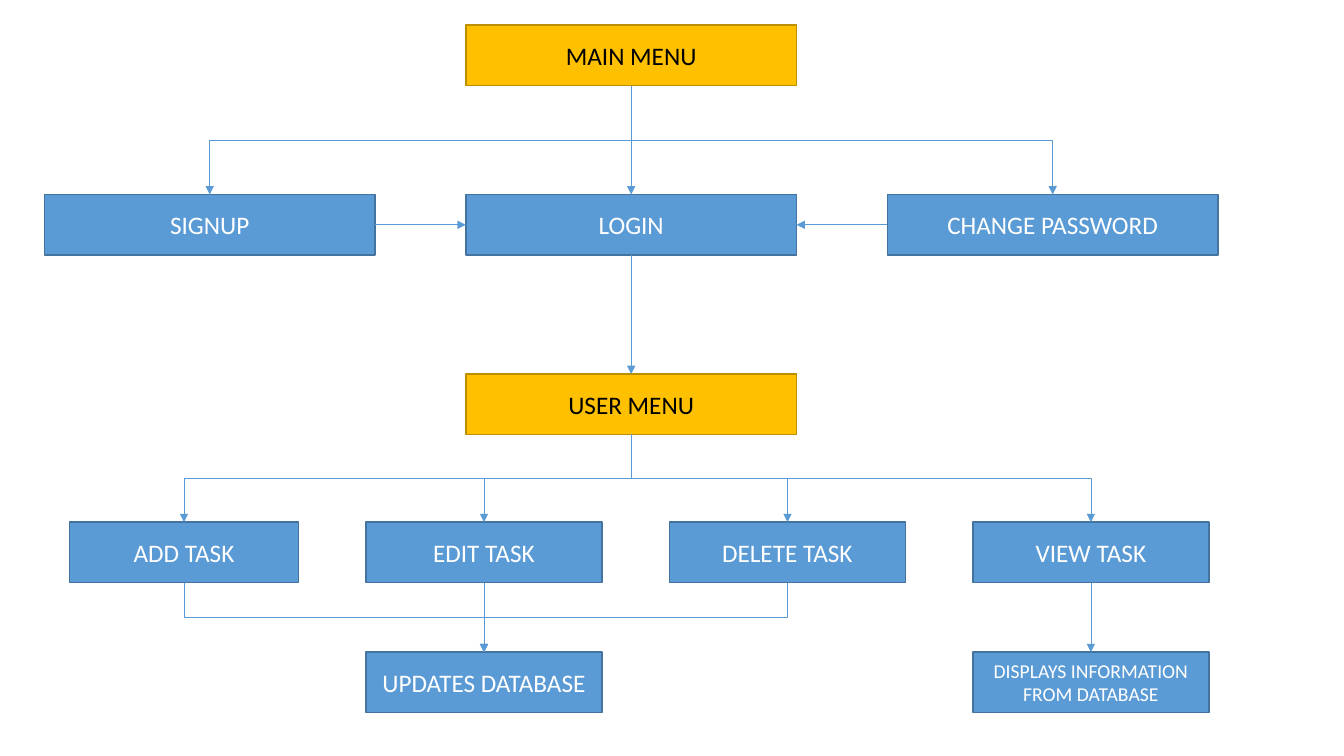
from dataclasses import dataclass

from lxml import etree
from pptx import Presentation
from pptx.dml.color import RGBColor
from pptx.enum.shapes import MSO_CONNECTOR, MSO_SHAPE
from pptx.enum.text import MSO_ANCHOR, PP_ALIGN
from pptx.oxml.ns import qn
from pptx.util import Inches, Pt

PROCESS = MSO_SHAPE.FLOWCHART_PROCESS
STRAIGHT, ELBOW = MSO_CONNECTOR.STRAIGHT, MSO_CONNECTOR.ELBOW
MIDDLE, CENTER = MSO_ANCHOR.MIDDLE, PP_ALIGN.CENTER
TOP, LEFT, BOTTOM, RIGHT = range(4)


@dataclass(frozen=True)
class BoxStyle:
    fill: str
    line: str
    text: str


@dataclass(frozen=True)
class Theme:
    font: str = "Calibri"
    label_size: int = 18
    small_size: int = 14
    box_line: float = 1
    arrow_line: float = 0.5
    arrow: str = "5B9BD5"
    menu: BoxStyle = BoxStyle("FFC000", "BD8E00", "000000")
    step: BoxStyle = BoxStyle("5B9BD5", "43739E", "FFFFFF")


class FlowChart:
    def __init__(self, page, theme):
        self.page = page
        self.theme = theme

    def box(self, label, left, top, width, style, size=None):
        box = self.page.shapes.add_shape(
            PROCESS, Inches(left), Inches(top), Inches(width), Inches(BOX_HEIGHT))
        box.shadow.inherit = False
        box.fill.solid()
        box.fill.fore_color.rgb = RGBColor.from_string(style.fill)
        box.line.color.rgb = RGBColor.from_string(style.line)
        box.line.width = Pt(self.theme.box_line)
        frame = box.text_frame
        frame.word_wrap = True
        frame.vertical_anchor = MIDDLE
        para = frame.paragraphs[0]
        para.alignment = CENTER
        span = para.add_run()
        span.text = label
        span.font.name = self.theme.font
        span.font.size = Pt(size or self.theme.label_size)
        span.font.color.rgb = RGBColor.from_string(style.text)
        return box

    def arrow(self, source, target, start=BOTTOM, end=TOP, kind=STRAIGHT):
        arrow = self.page.shapes.add_connector(kind, 0, 0, 0, 0)
        arrow.begin_connect(source, start)
        arrow.end_connect(target, end)
        arrow.line.color.rgb = RGBColor.from_string(self.theme.arrow)
        arrow.line.width = Pt(self.theme.arrow_line)
        properties = arrow._element.spPr
        etree.SubElement(properties.find(qn("a:ln")), qn("a:tailEnd"), type="triangle")
        etree.SubElement(properties, qn("a:effectLst"))
        return arrow

    def branch(self, source, target):
        """Elbow arrow that leaves downwards, runs sideways and arrives downwards."""
        arrow = self.arrow(source, target, kind=ELBOW)
        rightwards = arrow.end_x > arrow.begin_x
        width, height = arrow.width, arrow.height
        # A quarter turn about the centre swaps width and height
        arrow.left += (width - height) // 2
        arrow.top += (height - width) // 2
        arrow.width, arrow.height = height, width
        transform = arrow._element.spPr.find(qn("a:xfrm"))
        transform.set("rot", str((270 if rightwards else 90) * 60000))
        transform.set("flipH", "1" if rightwards else "0")


# Grid
BOX_HEIGHT = 0.6
MENU_WIDTH, TASK_WIDTH, ADD_WIDTH = 3.28, 2.34, 2.27
MAIN_TOP, ACCESS_TOP, USER_TOP, TASK_TOP, RESULT_TOP = 0.25, 1.93, 3.71, 5.18, 6.47
ACCESS_LEFTS = [0.44 + 4.18 * column for column in range(3)]
TASK_LEFTS = [3.63 + 3.01 * column for column in range(3)]
ADD_LEFT = 0.69


def main():
    deck = Presentation()
    deck.slide_width, deck.slide_height = Inches(13.33), Inches(7.5)
    theme = Theme()
    chart = FlowChart(deck.slides.add_slide(deck.slide_layouts[6]), theme)

    # Menus
    main_menu, user_menu = [
        chart.box(label, ACCESS_LEFTS[1], top, MENU_WIDTH, theme.menu)
        for label, top in (("MAIN MENU", MAIN_TOP), ("USER MENU", USER_TOP))]

    # Account access
    signup, login, password = [
        chart.box(label, left, ACCESS_TOP, MENU_WIDTH, theme.step)
        for label, left in zip(("SIGNUP", "LOGIN", "CHANGE PASSWORD"), ACCESS_LEFTS)]

    # Tasks
    add = chart.box("ADD TASK", ADD_LEFT, TASK_TOP, ADD_WIDTH, theme.step)
    edit, delete, view = [
        chart.box(label, left, TASK_TOP, TASK_WIDTH, theme.step)
        for label, left in zip(("EDIT TASK", "DELETE TASK", "VIEW TASK"), TASK_LEFTS)]

    # Results
    update = chart.box("UPDATES DATABASE", TASK_LEFTS[0], RESULT_TOP, TASK_WIDTH, theme.step)
    display = chart.box("DISPLAYS INFORMATION FROM DATABASE", TASK_LEFTS[2], RESULT_TOP,
                        TASK_WIDTH, theme.step, theme.small_size)

    # Straight arrows
    chart.arrow(signup, login, RIGHT, LEFT)
    chart.arrow(password, login, LEFT, RIGHT)
    for source, target in ((main_menu, login), (login, user_menu),
                           (edit, update), (view, display)):
        chart.arrow(source, target)

    # Branching arrows
    for target in (signup, password):
        chart.branch(main_menu, target)
    for target in (add, edit, delete, view):
        chart.branch(user_menu, target)
    for source in (add, delete):
        chart.branch(source, update)

    deck.save("out.pptx")


if __name__ == "__main__":
    main()
